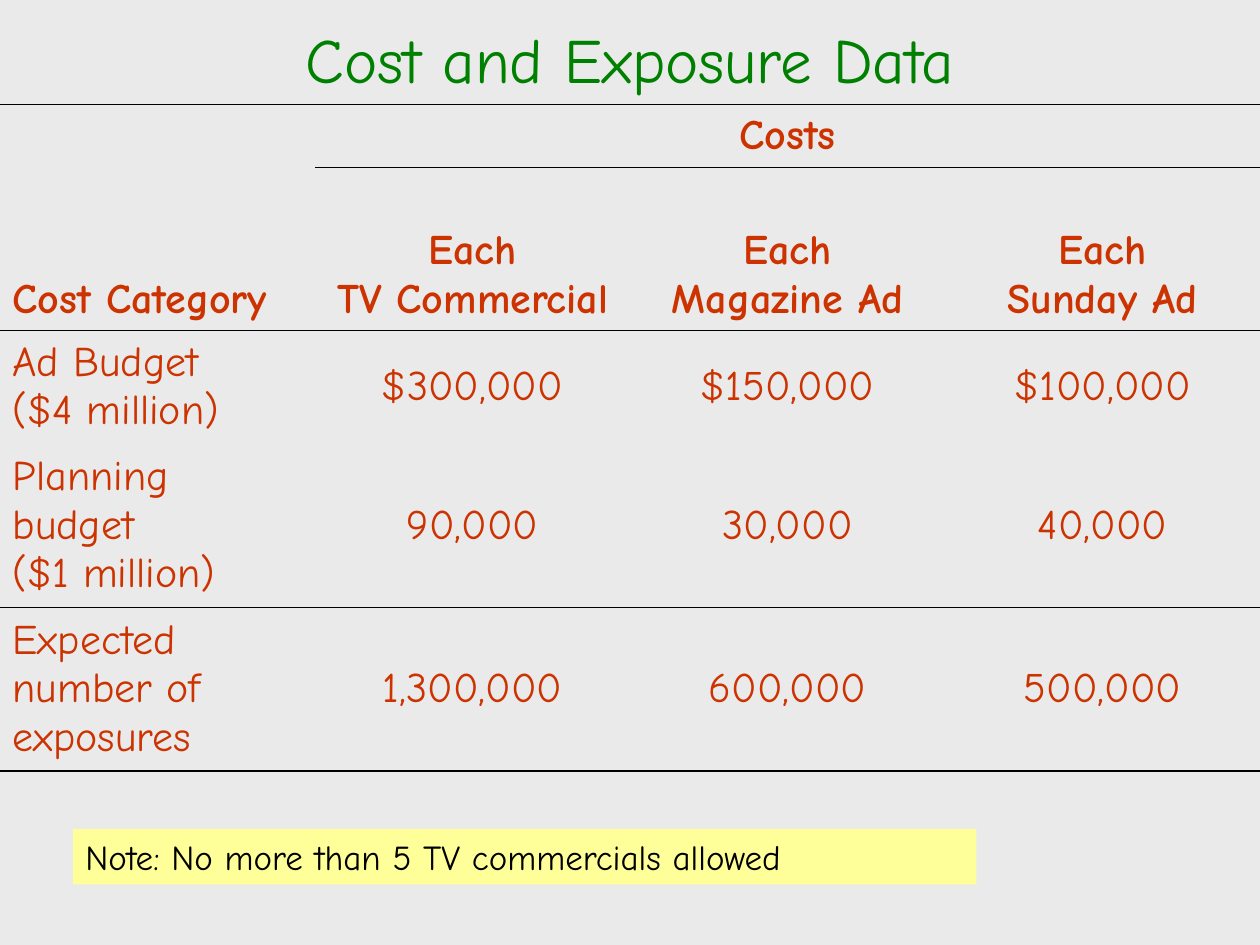
from lxml.etree import SubElement
from pptx import Presentation
from pptx.dml.color import RGBColor
from pptx.enum.shapes import MSO_SHAPE
from pptx.enum.text import MSO_ANCHOR, PP_ALIGN
from pptx.oxml.ns import qn
from pptx.util import Inches, Pt

FONT = "Comic Neue"
COLORS = {
    "background": "EAEAEA",
    "title": "008000",
    "table": "CC3300",
    "rule": "000000",
    "note": "000000",
    "note_fill": "FFFF99",
}
COLUMN_WIDTH = 2.5
ROW_HEIGHTS = [0.5, 1.29, 0.9, 1.3, 1.3, 0.5]
RULE_WIDTHS = {0: 1.08, 1: 0.34, 2: 0.34, 4: 0.34, 5: 1.08}
HEADER_ROWS = 2
COST_ROWS = [
    ["", "", "Costs", ""],
    ["Cost Category", "Each\vTV Commercial", "Each\vMagazine Ad", "Each\vSunday Ad"],
    ["Ad Budget\n($4 million)", "$300,000", "$150,000", "$100,000"],
    ["Planning budget\n($1 million)", "90,000", "30,000", "40,000"],
    ["Expected number of exposures", "1,300,000", "600,000", "500,000"],
    ["", "", "", ""],
]


def rgb(name):
    """Return the named palette colour."""
    return RGBColor.from_string(COLORS[name])


def write(frame, text, color, size=24, bold=False, align=PP_ALIGN.LEFT, before=0):
    """Fill a text frame with uniformly formatted text."""
    frame.text = text
    frame.word_wrap = True
    for paragraph in frame.paragraphs:
        paragraph.alignment = align
        paragraph.space_before = Pt(before)
        for run in paragraph.runs:
            run.font.name = FONT
            run.font.size = Pt(size)
            run.font.bold = bold
            run.font.color.rgb = rgb(color)


def add_title(slide, text):
    """Place the centred slide title."""
    title = slide.shapes.title
    title.left, title.top = Inches(0), Inches(0)
    title.width, title.height = Inches(10), Inches(0.92)
    write(title.text_frame, text, "title", size=36, align=PP_ALIGN.CENTER)
    title.text_frame.vertical_anchor = MSO_ANCHOR.MIDDLE


def set_borders(cell, top, bottom):
    """Draw the horizontal rules of a cell and hide its other sides."""
    properties = cell._tc.get_or_add_tcPr()
    sides = {"a:lnL": 0, "a:lnR": 0, "a:lnT": top, "a:lnB": bottom}
    for position, (tag, width) in enumerate(sides.items()):
        line = SubElement(properties, qn(tag), w=str(int(Pt(width))))
        if width:
            fill = SubElement(line, qn("a:solidFill"))
            SubElement(fill, qn("a:srgbClr"), val=COLORS["rule"])
        else:
            SubElement(line, qn("a:noFill"))
        properties.insert(position, line)


def rule_width(boundary, column):
    """Return the rule width at a row boundary, leaving the Costs rule off column 0."""
    if boundary == 1 and column == 0:
        return 0
    return RULE_WIDTHS.get(boundary, 0)


def add_cost_table(slide):
    """Add the table of costs and exposures."""
    column_count = len(COST_ROWS[0])
    table = slide.shapes.add_table(
        len(COST_ROWS), column_count, Inches(0), Inches(0.83),
        Inches(COLUMN_WIDTH * column_count), Inches(sum(ROW_HEIGHTS)),
    ).table
    table.first_row = table.horz_banding = False
    for column in table.columns:
        column.width = Inches(COLUMN_WIDTH)
    for row, labels in enumerate(COST_ROWS):
        table.rows[row].height = Inches(ROW_HEIGHTS[row])
        for column, label in enumerate(labels):
            cell = table.cell(row, column)
            cell.fill.background()
            cell.vertical_anchor = MSO_ANCHOR.BOTTOM if row == 1 else MSO_ANCHOR.MIDDLE
            set_borders(cell, rule_width(row, column), rule_width(row + 1, column))
            if label:
                write(cell.text_frame, label, "table", bold=row < HEADER_ROWS,
                      align=PP_ALIGN.CENTER if column else PP_ALIGN.LEFT)


def add_note(slide, text):
    """Add the highlighted note below the table."""
    note = slide.shapes.add_shape(
        MSO_SHAPE.RECTANGLE, Inches(0.58), Inches(6.58), Inches(7.17), Inches(0.44))
    note.shadow.inherit = False
    note.fill.solid()
    note.fill.fore_color.rgb = rgb("note_fill")
    note.line.fill.background()
    write(note.text_frame, text, "note", size=20, before=12.5)
    note.text_frame.vertical_anchor = MSO_ANCHOR.TOP


def main():
    """Build and save the slide."""
    presentation = Presentation()
    presentation.slide_width, presentation.slide_height = Inches(10), Inches(7.5)
    slide = presentation.slides.add_slide(presentation.slide_layouts[5])
    slide.background.fill.solid()
    slide.background.fill.fore_color.rgb = rgb("background")
    add_title(slide, "Cost and Exposure Data")
    add_cost_table(slide)
    add_note(slide, "Note: No more than 5 TV commercials allowed")
    presentation.save("out.pptx")


if __name__ == "__main__":
    main()
